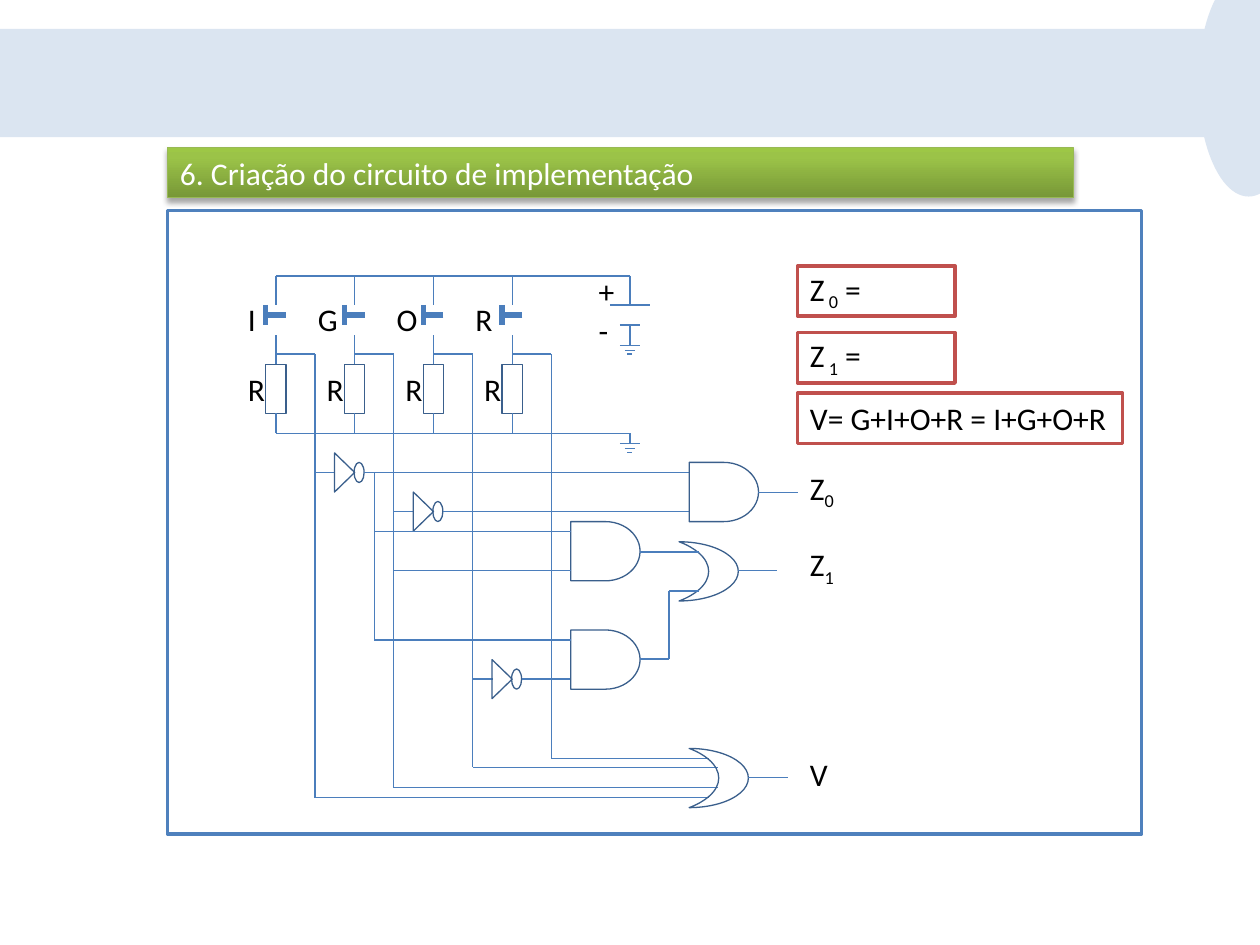
from copy import deepcopy
from dataclasses import dataclass

from lxml import etree
from pptx import Presentation
from pptx.dml.color import RGBColor
from pptx.enum.shapes import MSO_CONNECTOR, MSO_SHAPE
from pptx.enum.text import MSO_ANCHOR, MSO_AUTO_SIZE, PP_ALIGN
from pptx.oxml.ns import qn
from pptx.util import Inches, Pt

RECT, OVAL, MOON = MSO_SHAPE.RECTANGLE, MSO_SHAPE.OVAL, MSO_SHAPE.MOON
DELAY, CONE = MSO_SHAPE.FLOWCHART_DELAY, MSO_SHAPE.ISOSCELES_TRIANGLE
STRAIGHT = MSO_CONNECTOR.STRAIGHT
LEFT, TOP, MIDDLE = PP_ALIGN.LEFT, MSO_ANCHOR.TOP, MSO_ANCHOR.MIDDLE
GROW = MSO_AUTO_SIZE.SHAPE_TO_FIT_TEXT


@dataclass(frozen=True)
class Theme:
    font: str = "Calibri"
    size: float = 18
    thin: float = 0.75
    frame: float = 2
    thick: float = 3
    band: str = "DBE5F1"
    white: str = "FFFFFF"
    black: str = "000000"
    blue: str = "4F81BD"
    wire: str = "4B7EBC"
    gate: str = "3A5F8C"
    red: str = "C0504D"
    edge: str = "98B955"
    green: tuple = ((0, "779737"), (0.8, "9BC348"), (1, "9DC746"))


THEME = Theme()
FIRST, PITCH, COUNT = 2.19, 0.625, 4
RAIL, TAP, BASE, POLE = 2.19, 2.81, 3.44, 5
LANES = [FIRST + 0.31 + PITCH * i for i in range(COUNT)]


def rgb(code):
    return RGBColor.from_string(code)


def add_form(slide, kind, box, fill=None, line=None, width=THEME.thin):
    form = slide.shapes.add_shape(kind, *map(Inches, box))
    form.shadow.inherit = False
    if fill:
        form.fill.solid()
        form.fill.fore_color.rgb = rgb(fill)
    else:
        form.fill.background()
    if line:
        form.line.color.rgb = rgb(line)
        form.line.width = Pt(width)
    else:
        form.line.fill.background()
    return form


def add_wire(slide, *ends, width=THEME.thin):
    wire = slide.shapes.add_connector(STRAIGHT, *map(Inches, ends))
    wire.line.color.rgb = rgb(THEME.wire)
    wire.line.width = Pt(width)
    etree.SubElement(wire.element.spPr, qn("a:effectLst"))
    return wire


def write(form, text, color=THEME.black, anchor=MIDDLE):
    frame = form.text_frame
    style = {"word_wrap": True, "auto_size": GROW, "vertical_anchor": anchor}
    for key, value in style.items():
        setattr(frame, key, value)
    para = frame.paragraphs[0]
    para.alignment = LEFT
    for i, part in enumerate(text.split("_")):
        run = para.add_run()
        run.text = part
        for key, value in {"name": THEME.font, "size": Pt(THEME.size)}.items():
            setattr(run.font, key, value)
        run.font.color.rgb = rgb(color)
        if i == 1:
            run._r.get_or_add_rPr().set("baseline", "-25000")
    return para


def add_label(slide, x, y, text, width=0.23):
    box = slide.shapes.add_textbox(*map(Inches, (x, y, width, 0.4)))
    write(box, text, anchor=TOP)


def add_title(slide, text):
    bar = add_form(slide, RECT, (1.33, 1.17, 7.19, 0.4), line=THEME.edge)
    bar.fill.gradient()
    bar.fill.gradient_angle = 90
    stops = bar.element.spPr.find(".//" + qn("a:gsLst"))
    stops.append(deepcopy(stops[0]))
    for stop, (place, color) in zip(bar.fill.gradient_stops, THEME.green):
        stop.position = place
        stop.color.rgb = rgb(color)
    glow = bar.element.spPr.find(qn("a:effectLst"))
    shade = etree.SubElement(glow, qn("a:outerShdw"), blurRad="40000",
                             dist="23000", dir="5400000", rotWithShape="0")
    tint = etree.SubElement(shade, qn("a:srgbClr"), val=THEME.black)
    etree.SubElement(tint, qn("a:alpha"), val="35000")
    props = write(bar, text, THEME.white)._p.get_or_add_pPr()
    props.set("marL", "342900")
    props.set("indent", "-342900")


def add_switch(slide, x, name, shift):
    add_wire(slide, x, RAIL, x, 2.42)
    add_wire(slide, x + 0.08, 2.5, x - 0.08, 2.5, width=THEME.thick)
    add_wire(slide, x - 0.08, 2.42, x - 0.08, 2.58, width=THEME.thick)
    load = add_form(slide, RECT, (x - 0.08, 2.89, 0.16, 0.39), line=THEME.gate)
    add_wire(slide, x, 2.66, x, 2.89).end_connect(load, 0)
    add_wire(slide, x, 3.28, x, BASE).begin_connect(load, 2)
    add_wire(slide, x, TAP, x + 0.31, TAP)
    add_label(slide, x - shift, 2.33, name)
    add_label(slide, x - 0.32, 2.89, "R")


def add_ground(slide, y):
    for half, drop in ((0.08, 0), (0.04, 0.04), (0.02, 0.07)):
        add_wire(slide, POLE - half, y + drop, POLE + half, y + drop)


def add_power(slide):
    add_wire(slide, FIRST, RAIL, POLE, RAIL)
    add_wire(slide, FIRST, BASE, POLE, BASE)
    add_wire(slide, POLE, RAIL, POLE, 2.42)
    add_wire(slide, POLE - 0.16, 2.42, POLE + 0.16, 2.42)
    add_wire(slide, POLE - 0.08, 2.58, POLE + 0.08, 2.58)
    add_wire(slide, POLE, 2.58, POLE, 2.74)
    add_wire(slide, POLE, BASE, POLE, 3.52)
    add_ground(slide, 2.74)
    add_ground(slide, 3.52)
    add_label(slide, 4.69, 2.11, "+", 0.16)
    add_label(slide, 4.69, 2.42, "-", 0.16)


def add_not(slide, x, y, end):
    add_wire(slide, x, y, x + 0.16, y)
    cone = add_form(slide, CONE, (x + 0.08, y - 0.08, 0.31, 0.16),
                    line=THEME.gate)
    cone.rotation = 90
    add_form(slide, OVAL, (x + 0.31, y - 0.08, 0.08, 0.16), line=THEME.gate)
    add_wire(slide, x + 0.39, y, end, y)


def add_and(slide, x, y):
    add_form(slide, DELAY, (x, y, 0.55, 0.47), line=THEME.gate)


def add_or(slide, x, y):
    gate = add_form(slide, MOON, (x, y, 0.47, 0.47), line=THEME.gate)
    gate.element.spPr.find(qn("a:xfrm")).set("flipH", "1")
    add_wire(slide, x + 0.47, y + 0.23, x + 0.78, y + 0.23)


def add_logic(slide):
    for lane, foot, end in zip(LANES, (6.33, 6.25, 6.09, 6.02),
                               (5.63, 5.7, 5.7, 5.63)):
        add_wire(slide, lane, TAP, lane, foot)
        add_wire(slide, lane, foot, end, foot)
    for lane, y, end in ((0, 3.75, 5.47), (1, 4.06, 5.47), (2, 5.39, 4.53)):
        add_not(slide, LANES[lane], y, end)
    for x, y in ((5.47, 3.67), (4.53, 4.14), (4.53, 5)):
        add_and(slide, x, y)
    for x, y in ((5.39, 4.3), (5.47, 5.94)):
        add_or(slide, x, y)
    for ends in ((6.02, 3.91, 6.33, 3.91), (2.97, 3.75, 2.97, 5.08),
                 (2.97, 4.22, 4.53, 4.22), (2.97, 5.08, 4.53, 5.08),
                 (LANES[1], 4.53, 4.53, 4.53), (5.08, 4.38, 5.55, 4.38),
                 (5.08, 5.23, 5.31, 5.23), (5.31, 4.69, 5.31, 5.23),
                 (5.31, 4.69, 5.55, 4.69)):
        add_wire(slide, *ends)


def main():
    deck = Presentation()
    deck.slide_width, deck.slide_height = Inches(10), Inches(7.5)
    slide = deck.slides.add_slide(deck.slide_layouts[6])
    add_form(slide, RECT, (0, 0.23, 9.69, 0.86), THEME.band)
    add_form(slide, OVAL, (9.51, -0.23, 0.8, 1.79), THEME.band)
    add_title(slide, "6. Criação do circuito de implementação")
    add_form(slide, RECT, (1.33, 1.67, 7.73, 4.95), THEME.white, THEME.blue,
             THEME.frame)
    add_power(slide)
    for i, (name, shift) in enumerate(zip("IGOR", (0.32, 0.39, 0.39, 0.39))):
        add_switch(slide, FIRST + PITCH * i, name, shift)
    add_logic(slide)
    for y, text in ((3.67, "Z_0"), (4.28, "Z_1"), (5.94, "V")):
        add_label(slide, 6.33, y, text, 0.63)
    for y, width, text in ((2.11, 1.25, "Z_ 0_ ="), (2.64, 1.25, "Z_ 1_ ="),
                           (3.12, 2.58, "V= G+I+O+R = I+G+O+R")):
        box = add_form(slide, RECT, (6.33, y, width, 0.4), THEME.white,
                       THEME.red, THEME.frame)
        write(box, text)
    deck.save("out.pptx")


if __name__ == "__main__":
    main()
